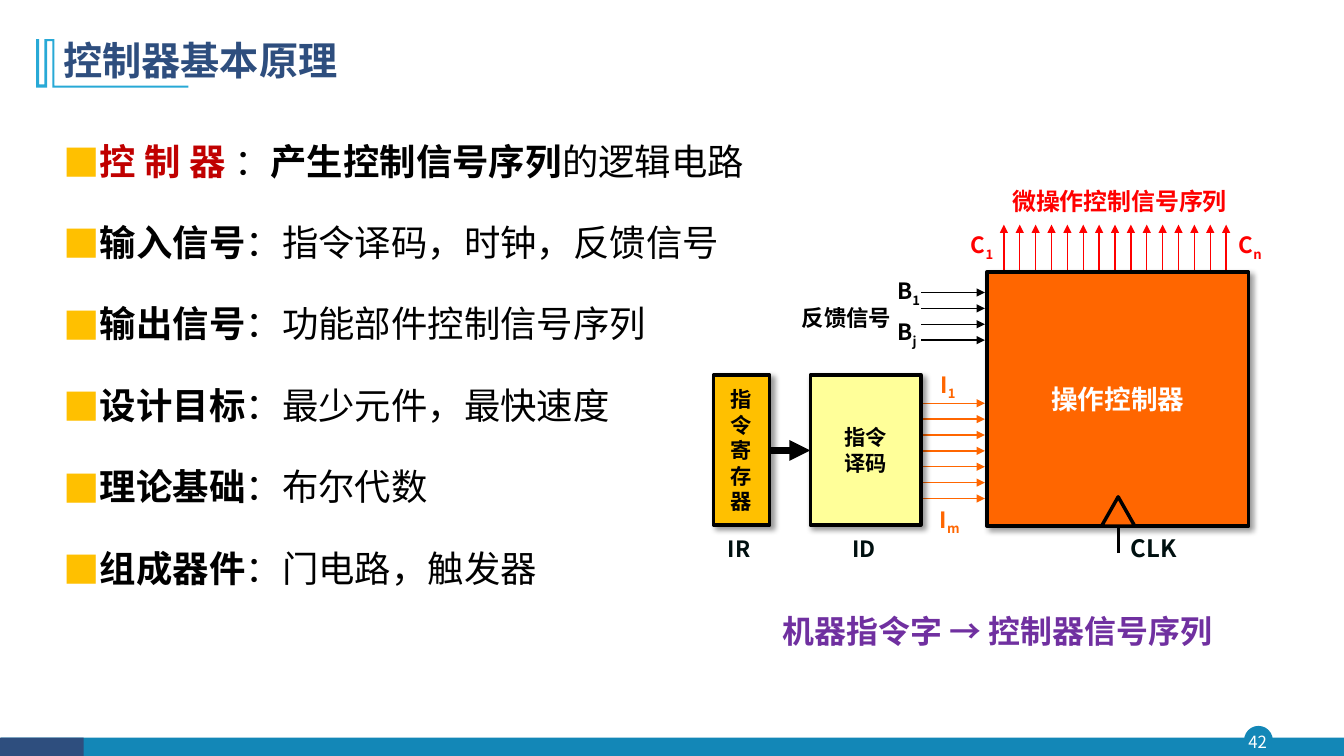
from lxml import etree
from pptx import Presentation
from pptx.dml.color import RGBColor
from pptx.enum.shapes import MSO_CONNECTOR, MSO_SHAPE
from pptx.enum.text import MSO_ANCHOR, PP_ALIGN
from pptx.oxml.ns import qn
from pptx.util import Cm, Pt

RECT, OVAL, TRIANGLE = MSO_SHAPE.RECTANGLE, MSO_SHAPE.OVAL, MSO_SHAPE.ISOSCELES_TRIANGLE
STRAIGHT = MSO_CONNECTOR.STRAIGHT
TOP, MIDDLE = MSO_ANCHOR.TOP, MSO_ANCHOR.MIDDLE
LEFT, CENTER = PP_ALIGN.LEFT, PP_ALIGN.CENTER

BLACK, WHITE, INK = "000000", "FFFFFF", "001010"
RED, DARK_RED, ORANGE = "FF0000", "C00000", "FF6600"
GOLD, YELLOW, PURPLE = "FFC000", "FFFF99", "7030A0"
NAVY, TEAL, SKY = "2E4E7E", "1387B7", "28A9D6"


def rgb(value):
    return RGBColor.from_string(value)


def add(parent, tag, **attributes):
    return etree.SubElement(parent, qn(tag), attributes)


class ControllerSlide:
    """Draws styled elements on one slide, with lengths in centimetres."""

    font = "Noto Sans CJK SC"
    shape_font = "Karla"
    gap = 5.7

    def __init__(self, slide):
        self.shapes = slide.shapes

    def paint(self, shape, fill, line=None, width=1.0, shadow=False):
        shape.shadow.inherit = False
        shape.fill.solid()
        shape.fill.fore_color.rgb = rgb(fill)
        if line:
            shape.line.color.rgb = rgb(line)
            shape.line.width = Pt(width)
        else:
            shape.line.fill.background()
        if shadow:
            effects = shape._element.spPr.find(qn("a:effectLst"))
            outer = add(effects, "a:outerShdw", blurRad=str(Pt(4)), dist=str(Pt(3)),
                        dir="2700000", algn="tl", rotWithShape="0")
            add(add(outer, "a:srgbClr", val=BLACK), "a:alpha", val="40000")

    def compose(self, frame, paragraphs, size, color, bold=True, align=CENTER,
                font=font, spacing=None, bullet=None):
        for index, runs in enumerate(paragraphs):
            paragraph = frame.paragraphs[0] if index == 0 else frame.add_paragraph()
            paragraph.alignment = align
            if spacing:
                paragraph.line_spacing = spacing
            if bullet:
                paragraph.space_after = Pt(self.gap)
                if index:
                    paragraph.space_before = Pt(self.gap)
                properties = paragraph._p.get_or_add_pPr()
                properties.set("marL", str(Cm(0.91)))
                properties.set("indent", str(-Cm(0.91)))
                add(add(properties, "a:buClr"), "a:srgbClr", val=bullet)
                add(properties, "a:buFont", typeface=self.font)
                add(properties, "a:buChar", char="■")
            paragraph.font.size = Pt(size)
            paragraph.font.bold = bold
            paragraph.font.color.rgb = rgb(color)
            paragraph.font.name = font
            add(paragraph._p.pPr.find(qn("a:defRPr")), "a:ea", typeface=self.font)
            for words, look in runs:
                run = paragraph.add_run()
                run.text = words
                if "bold" in look:
                    run.font.bold = look["bold"]
                if "color" in look:
                    run.font.color.rgb = rgb(look["color"])
                if "baseline" in look:
                    run._r.get_or_add_rPr().set("baseline", look["baseline"])

    def box(self, kind, left, top, width, height, fill, line=None, line_width=1.0,
            shadow=False, lines=(), size=15.2, color=BLACK):
        shape = self.shapes.add_shape(kind, Cm(left), Cm(top), Cm(width), Cm(height))
        self.paint(shape, fill, line, line_width, shadow)
        if lines:
            shape.text_frame.word_wrap = True
            shape.text_frame.vertical_anchor = MIDDLE
            self.compose(shape.text_frame, [[(words, {})] for words in lines], size, color,
                         font=self.shape_font)

    def text(self, left, top, width, height, paragraphs, size, color,
             wrap=False, anchor=TOP, inset=None, **style):
        frame = self.shapes.add_textbox(Cm(left), Cm(top), Cm(width), Cm(height)).text_frame
        frame.word_wrap = wrap
        frame.vertical_anchor = anchor
        if inset is not None:
            frame.margin_left = frame.margin_right = Cm(inset)
            frame.margin_top = frame.margin_bottom = Cm(inset)
        self.compose(frame, paragraphs, size, color, **style)

    def label(self, left, top, width, words, color, index="", size=16):
        runs = [(words, {})]
        if index:
            runs.append((index, {"baseline": "-25000"}))
        self.text(left, top, width, 0.94, [runs], size, color)

    def arrow(self, x1, y1, x2, y2, color, width=1.0):
        arrow = self.shapes.add_connector(STRAIGHT, Cm(x1), Cm(y1), Cm(x2), Cm(y2))
        arrow.line.color.rgb = rgb(color)
        arrow.line.width = Pt(width)
        properties = arrow._element.spPr
        add(properties.find(qn("a:ln")), "a:tailEnd", type="triangle")
        add(properties, "a:effectLst")

    def outline(self, points, fill):
        start, *rest = [(Cm(x), Cm(y)) for x, y in points]
        builder = self.shapes.build_freeform(*start)
        builder.add_line_segments(rest, close=True)
        self.paint(builder.convert_to_shape(), fill)


def main():
    deck = Presentation()
    deck.slide_width, deck.slide_height = Cm(33.87), Cm(19.05)
    page = ControllerSlide(deck.slides.add_slide(deck.slide_layouts[6]))

    page.box(OVAL, 31.37, 18.31, 0.69, 0.69, TEAL, TEAL)
    page.box(RECT, 0.03, 18.59, 33.84, 0.46, TEAL)
    page.box(RECT, 0, 18.59, 2.11, 0.46, NAVY)
    page.text(31.29, 18.31, 0.81, 0.79, [[("42", {})]], 12, WHITE,
              anchor=MIDDLE, inset=0, bold=False)
    page.outline([(1.37, 0.99), (1.37, 2.16), (4.75, 2.16), (4.75, 2.21), (1.32, 2.21),
                  (1.32, 1.04), (1.19, 1.04), (1.19, 2.21), (0.91, 2.21), (0.91, 0.99),
                  (0.99, 0.99), (0.99, 2.13), (1.12, 2.13), (1.12, 0.99)], SKY)
    page.text(1.35, 0.71, 29.21, 1.73, [[("控制器基本原理", {})]], 28, NAVY,
              wrap=True, anchor=MIDDLE, align=LEFT, spacing=0.9)

    strong = {"bold": True}
    points = [[("控 制 器 ", {"bold": True, "color": DARK_RED}), ("：", {}),
               ("产生控制信号序列", strong), ("的逻辑电路", {})]]
    for term, meaning in [("输入信号", "指令译码，时钟，反馈信号"),
                          ("输出信号", "功能部件控制信号序列"),
                          ("设计目标", "最少元件，最快速度"),
                          ("理论基础", "布尔代数"),
                          ("组成器件", "门电路，触发器")]:
        points.append([(term, strong), ("：" + meaning, {})])
    page.text(1.35, 2.82, 29.21, 15.45, points, 26, BLACK, wrap=True, bold=False,
              align=LEFT, spacing=1.5, bullet=GOLD)

    pitch = 0.4
    for step in range(15):
        x = 25.3 + step * pitch
        page.arrow(x, 6.86, x, 5.66, RED)
    for first, count, color in [(10.16, 7, ORANGE), (7.37, 4, BLACK)]:
        for step in range(count):
            y = first + step * pitch
            page.arrow(23.22, y, 24.82, y, color)
    page.arrow(19.41, 11.35, 20.42, 11.35, BLACK, 5)

    framed = {"line": BLACK, "line_width": 2.5}
    page.box(RECT, 17.98, 9.45, 1.42, 3.78, GOLD, shadow=True, lines=["指令寄存器"], **framed)
    page.box(RECT, 20.42, 9.45, 2.79, 3.78, YELLOW, shadow=True,
             lines=["指令", "译码"], **framed)
    page.box(RECT, 24.87, 6.86, 6.6, 6.4, ORANGE, shadow=True,
             lines=["操作控制器"], size=19, color=WHITE, **framed)
    page.arrow(28.19, 13.94, 28.19, 12.9, BLACK, 2)
    page.box(TRIANGLE, 27.76, 12.52, 0.84, 0.74, ORANGE, **framed)

    for left, top, width, words, index, color in [
            (23.42, 9.22, 0.94, "I", "1", ORANGE),
            (23.39, 12.62, 1.09, "I", "m", ORANGE),
            (24.18, 5.71, 1.14, "C", "1", RED),
            (30.94, 5.71, 1.14, "C", "n", RED),
            (22.33, 6.86, 1.14, "B", "1", BLACK),
            (22.35, 7.9, 1.02, "B", "j", BLACK),
            (17.98, 13.36, 1.3, "IR", "", INK),
            (21.13, 13.36, 1.3, "ID", "", INK),
            (19.94, 7.54, 2.79, "反馈信号", "", BLACK)]:
        page.label(left, top, width, words, color, index)
    page.label(25.22, 4.57, 5.99, "微操作控制信号序列", RED, size=17.1)
    page.label(28.24, 13.31, 1.68, "CLK", INK, size=17.1)
    page.text(19.48, 14.81, 11.48, 1.53, [[("机器指令字 → 控制器信号序列", {})]],
              22.8, PURPLE, align=LEFT, spacing=1.5)
    deck.save("out.pptx")


if __name__ == "__main__":
    main()
